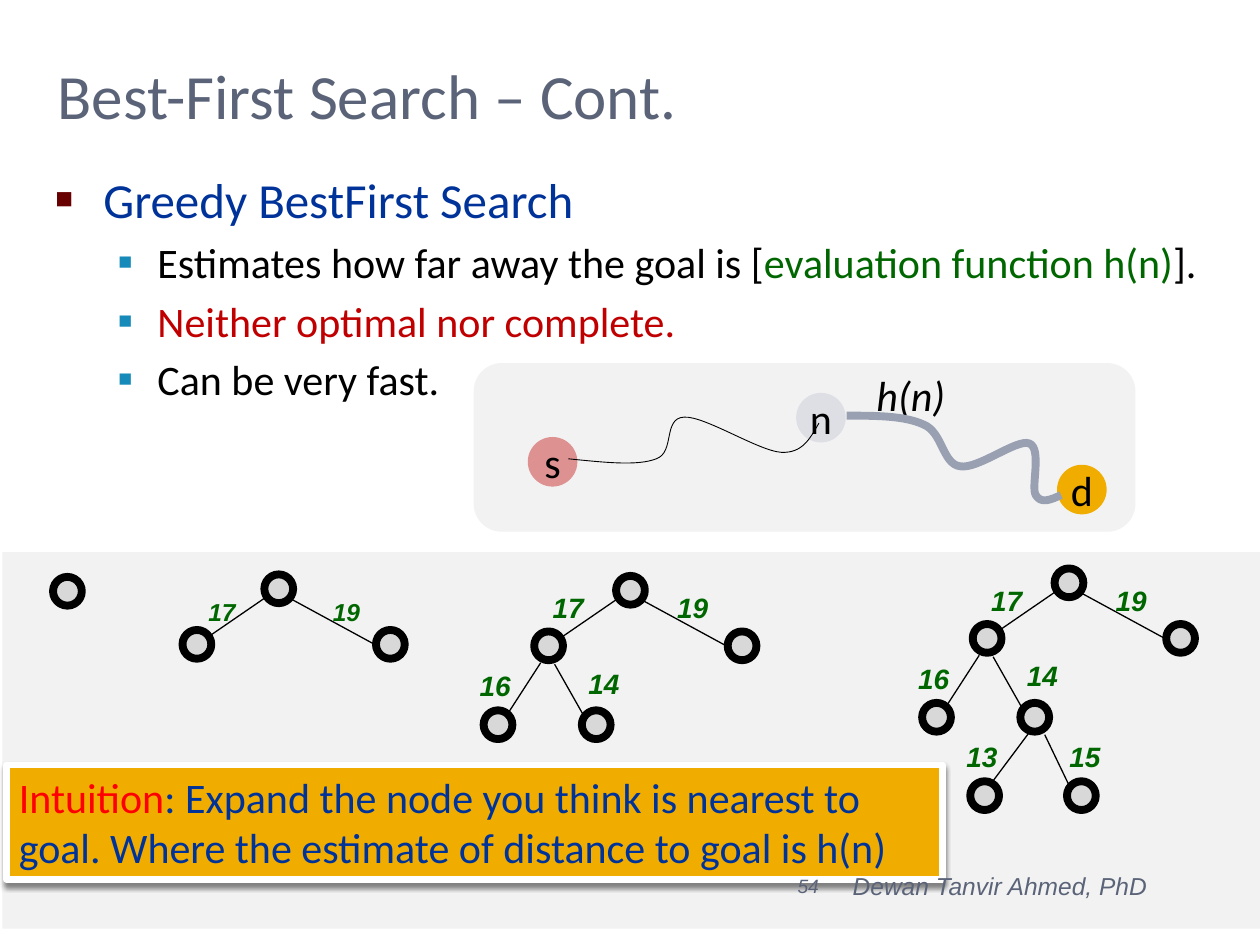
import itertools

import pptx
import pptx.dml.color
import pptx.enum.shapes
import pptx.enum.text
import pptx.oxml
import pptx.oxml.ns
import pptx.util

Cm, Pt = pptx.util.Cm, pptx.util.Pt
RGB = pptx.dml.color.RGBColor.from_string
SHAPE = pptx.enum.shapes.MSO_SHAPE
ALIGN = pptx.enum.text.PP_ALIGN
ANCHOR = pptx.enum.text.MSO_ANCHOR
AUTO = pptx.enum.text.MSO_AUTO_SIZE
qn = pptx.oxml.ns.qn
NS = pptx.oxml.ns.nsdecls("a")


class Theme:
    black, white, slate, navy = "000000", "FFFFFF", "5A6378", "003399"
    green, crimson, red = "006600", "C00000", "FF0000"
    panel, gold, pink, mist = "F2F2F2", "F0AD00", "DD9191", "DDDFE5"
    node, route = "C0C0C0", "98A0B2"
    bullets = ("680000", 60), ("168BBA", 55)
    title, head, text, edge, small_edge, number = 36, 28, 24, 16, 14, 11


def add_run(p, text, size=Theme.text, color=Theme.black, font="Calibri",
            bold=False, italic=False):
    r = p.add_run()
    r.text = text
    r.font.name, r.font.size = font, Pt(size)
    r.font.bold, r.font.italic = bold, italic
    r.font.color.rgb = RGB(color)


def add_shape(kind, at, fill, line=None, width=0):
    """Add a flat preset shape; at is left, top, width, height in cm."""
    sp = s.shapes.add_shape(kind, *map(Cm, at))
    sp.shadow.inherit = False
    sp.fill.solid()
    sp.fill.fore_color.rgb = RGB(fill)
    if line:
        sp.line.color.rgb = RGB(line)
        sp.line.width = Pt(width)
    else:
        sp.line.fill.background()
    return sp


prs = pptx.Presentation()
prs.slide_width, prs.slide_height = Cm(25.4), Cm(19.05)
s = prs.slides.add_slide(prs.slide_layouts[1])

# Title and list
title, body = s.placeholders
for sp, at, anchor in [(title, (0.91, 0.79, 21.87, 2.24), ANCHOR.MIDDLE),
                       (body, (0.86, 3.28, 24.54, 5.23), ANCHOR.TOP)]:
    sp.left, sp.top, sp.width, sp.height = map(Cm, at)
    sp.text_frame.vertical_anchor = anchor
    sp.text_frame.auto_size = AUTO.NONE

p = title.text_frame.paragraphs[0]
p.alignment = ALIGN.LEFT
add_run(p, "Best-First Search – Cont.", Theme.title, Theme.slate)

items = [
    (0, [("Greedy BestFirst Search", Theme.navy)]),
    (1, [("Estimates how far away the goal is [", Theme.black),
         ("evaluation function h(n)", Theme.green), ("].", Theme.black)]),
    (1, [("Neither optimal nor complete.", Theme.crimson)]),
    (1, [("Can be very fast.", Theme.black)]),
]
for i, (level, runs) in enumerate(items):
    tf = body.text_frame
    p = tf.add_paragraph() if i else tf.paragraphs[0]
    p.level = level
    for text, color in runs:
        add_run(p, text, Theme.text if level else Theme.head, color)
    pPr = p._p.get_or_add_pPr()
    pPr.set("marL", str(Cm((0.97, 2.06)[level])))
    pPr.set("indent", str(-Cm((0.97, 0.79)[level])))
    color, percent = Theme.bullets[level]
    for xml in (f'<a:buClr {NS}><a:srgbClr val="{color}"/></a:buClr>',
                f'<a:buSzPct {NS} val="{percent}000"/>',
                f'<a:buFont {NS} typeface="Arial"/>',
                f'<a:buChar {NS} char="■"/>'):
        pPr.append(pptx.oxml.parse_xml(xml))

# Panels and the intuition box
add_shape(SHAPE.ROUNDED_RECTANGLE, (9.55, 7.32, 13.34, 3.4), Theme.panel)
add_shape(SHAPE.RECTANGLE, (0.05, 11.13, 25.35, 7.59), Theme.panel)
sp = add_shape(SHAPE.RECTANGLE, (0.13, 15.42, 18.87, 2.31), Theme.gold,
               Theme.white, 3.75)
sp._element.spPr.find(qn("a:effectLst")).append(pptx.oxml.parse_xml(
    f'<a:outerShdw {NS} blurRad="{Pt(3)}" dist="{Pt(2.4)}" dir="5400000" rotWithShape="0">'
    f'<a:srgbClr val="{Theme.black}"><a:alpha val="45000"/></a:srgbClr></a:outerShdw>'))
tf = sp.text_frame
tf.word_wrap, tf.vertical_anchor = True, ANCHOR.TOP
p = tf.paragraphs[0]
p.alignment = ALIGN.LEFT
add_run(p, "Intuition", color=Theme.red)
add_run(p, ": Expand the node you think is nearest to goal. "
           "Where the estimate of distance to goal is h(n)", color=Theme.navy)

# Search trees: each stage shows the first few branches, measured from its root
# (child node, edge start, edge end, cost, cost position)
branches = [
    ((-1.65, 1.12), (0.03, 0.46), (-1.12, 1.25), "17", (-1.53, 0.18)),
    ((2.25, 1.12), (0.51, 0.48), (2.24, 1.42), "19", (0.98, 0.18)),
    ((-2.67, 2.71), (-1.52, 1.75), (-2.18, 2.77), "16", (-3, 1.75)),
    ((-0.69, 2.71), (-1.24, 1.78), (-0.64, 2.84), "14", (-0.81, 1.7)),
    ((-1.7, 4.29), (-0.53, 3.33), (-1.27, 4.32), "13", (-2.03, 3.33)),
    ((0.25, 4.29), (-0.2, 3.35), (0.3, 4.39), "15", (0.05, 3.33)),
]
# (root left, root top, branches shown, cost size, cost shift)
stages = [
    (1.07, 11.63, 0, Theme.edge, 0),
    (5.33, 11.58, 2, Theme.small_edge, 0.15),
    (12.42, 11.61, 4, Theme.edge, 0),
    (21.26, 11.46, 6, Theme.edge, 0),
]
node = 0.58
labels = []
for x, y, count, size, shift in stages:
    shown = branches[:count]
    for dx, dy in [(0, 0)] + [branch[0] for branch in shown]:
        sp = add_shape(SHAPE.OVAL, (x + dx, y + dy, node, node), Theme.node,
                       Theme.black, 4.5)
        fill = sp._element.spPr.find(qn("a:solidFill"))
        fill[0].append(pptx.oxml.parse_xml(f'<a:alpha {NS} val="50000"/>'))
    for _, (x1, y1), (x2, y2), cost, (dx, dy) in shown:
        edge = s.shapes.add_connector(
            pptx.enum.shapes.MSO_CONNECTOR.STRAIGHT,
            Cm(x + x1), Cm(y + y1), Cm(x + x2), Cm(y + y2))
        edge.line.color.rgb = RGB(Theme.black)
        edge.line.width = Pt(0.75)
        edge._element.spPr.append(pptx.oxml.parse_xml(f"<a:effectLst {NS}/>"))
        labels.append(((x + dx + shift, y + dy + shift, 1.24, 0.94), cost,
                       dict(size=size, color=Theme.green, font="Arial",
                            bold=True, italic=True)))

# Costs, and the estimate above the route
labels.append(((17.42, 7.32, 2.01, 1.27), "h(n)", dict(italic=True)))
for at, text, fmt in labels:
    tf = s.shapes.add_textbox(*map(Cm, at)).text_frame
    tf.word_wrap, tf.auto_size = False, AUTO.SHAPE_TO_FIT_TEXT
    add_run(tf.paragraphs[0], text, **fmt)

# Route from s through n to d: a start point, then three points per curve
routes = [
    (Theme.black, 0.5,
     [(11.46, 9.25), (12.17, 9.32), (12.85, 9.4), (13.23, 9.25),
      (13.61, 9.12), (13.36, 8.43), (13.79, 8.41),
      (14.2, 8.38), (15.29, 9.09), (15.75, 9.12),
      (16.18, 9.14), (16.33, 8.84), (16.51, 8.53)]),
    (Theme.route, 4.5,
     [(17.07, 8.38), (17.65, 8.38), (18.24, 8.38), (18.62, 8.56),
      (19, 8.71), (19, 9.35), (19.35, 9.4),
      (19.71, 9.47), (20.5, 8.84), (20.75, 8.94),
      (21.01, 9.04), (20.78, 9.83), (20.88, 9.98),
      (20.98, 10.16), (21.18, 10.08), (21.39, 9.98)]),
]
stops = [("s", 10.64, 8.81, Theme.pink), ("n", 16.05, 7.92, Theme.mist),
         ("d", 21.31, 9.37, Theme.gold)]
for text, x, y, color in stops:
    sp = add_shape(SHAPE.OVAL, (x, y, 1, 1), color)
    tf = sp.text_frame
    tf.word_wrap, tf.vertical_anchor = False, ANCHOR.MIDDLE
    tf.paragraphs[0].alignment = ALIGN.CENTER
    add_run(tf.paragraphs[0], text)

for color, width, points in routes:
    start, *rest = [(Cm(x), Cm(y)) for x, y in points]
    builder = s.shapes.build_freeform(*start)
    builder.add_line_segments(rest, close=False)
    sp = builder.convert_to_shape()
    sp.shadow.inherit = False
    sp.fill.background()
    sp.line.color.rgb = RGB(color)
    sp.line.width = Pt(width)
    segments = iter(list(sp._element.iter(qn("a:lnTo"))))
    while trio := list(itertools.islice(segments, 3)):
        curve = pptx.oxml.parse_xml(f"<a:cubicBezTo {NS}/>")
        trio[0].addprevious(curve)
        for segment in trio:
            curve.append(segment[0])
            segment.getparent().remove(segment)

# Footer
for text, x, width, align, size in [
        ("54", 1.7, 15.06, ALIGN.RIGHT, Theme.number),
        ("Dewan Tanvir Ahmed, PhD", 16.94, 7.42, ALIGN.LEFT, Theme.small_edge)]:
    tf = s.shapes.add_textbox(Cm(x), Cm(17.35), Cm(width), Cm(1.02)).text_frame
    tf.word_wrap, tf.vertical_anchor = True, ANCHOR.MIDDLE
    tf.paragraphs[0].alignment = align
    add_run(tf.paragraphs[0], text, size, Theme.slate, "Arial", italic=True)

prs.save("out.pptx")
